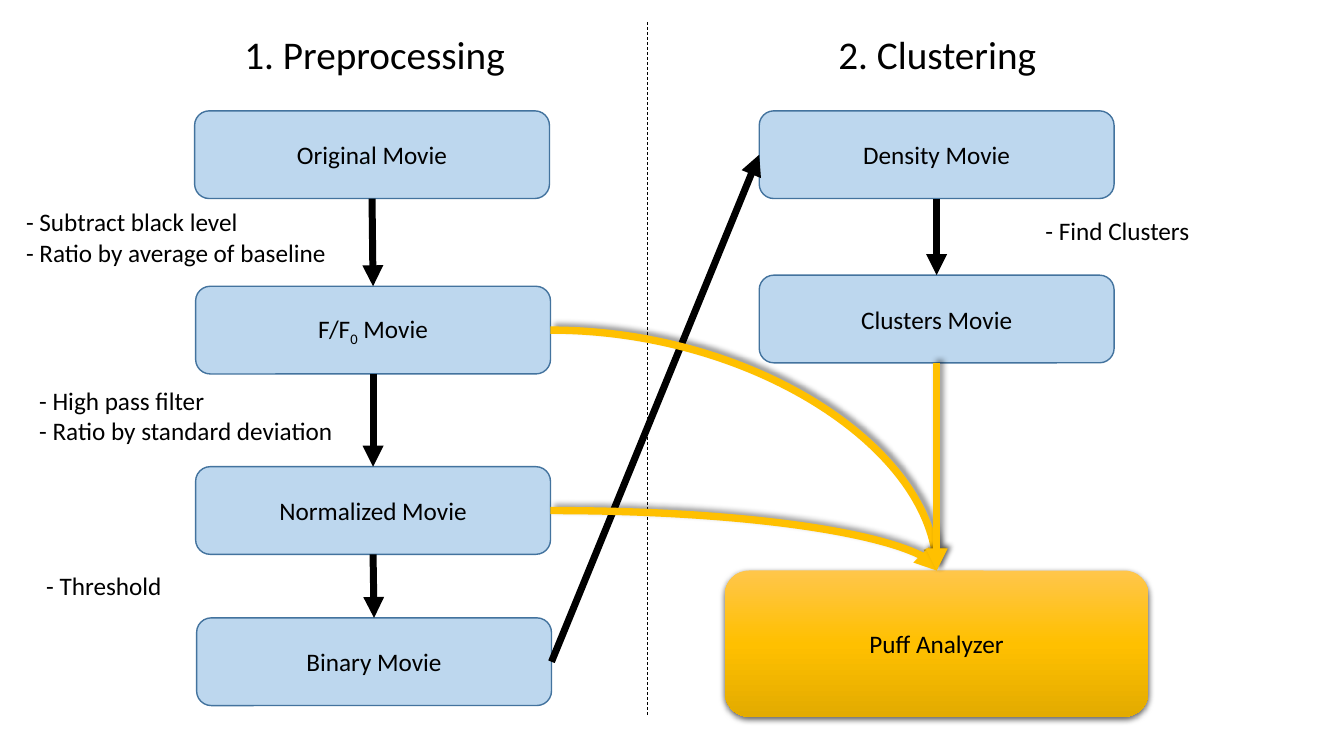
"""Build the movie processing flow slide: preprocessing, clustering and analysis."""
import copy
import dataclasses
import typing

import lxml.etree
import pptx
import pptx.dml.color
import pptx.enum.dml
import pptx.enum.shapes
import pptx.enum.text
import pptx.oxml.ns
import pptx.shapes.autoshape
import pptx.shapes.connector
import pptx.slide
import pptx.text.text
import pptx.util

Inches = pptx.util.Inches
Pt = pptx.util.Pt
qn = pptx.oxml.ns.qn
Align = pptx.enum.text.PP_ALIGN
Link = pptx.enum.shapes.MSO_CONNECTOR
Shape = pptx.shapes.autoshape.Shape
Line = pptx.shapes.connector.Connector


class Shade(typing.NamedTuple):
    alpha: int
    blur: float
    dist: float
    angle: int


@dataclasses.dataclass(frozen=True)
class Theme:
    font: str = "Calibri"
    ink: str = "000000"
    step: str = "BDD7EE"
    edge: str = "43739E"
    gold: str = "FFC000"
    blend: tuple[str, ...] = ("FFC64B", "FFC000", "E3AB00")
    head: float = 28
    body: float = 18
    thin: float = 0.5
    thick: float = 5
    wide: float = 5.25
    box_shade: Shade = Shade(63, 4.5, 1.5, 90)
    line_shade: Shade = Shade(40, 4, 3, 315)


class Step(typing.NamedTuple):
    name: str
    text: str
    left: float
    top: float


class Note(typing.NamedTuple):
    text: str
    left: float
    top: float
    width: float
    height: float


class Arrow(typing.NamedTuple):
    start: str
    start_side: int
    end: str
    end_side: int
    gold: bool = False
    curved: bool = False


THEME = Theme()
TOP, LEFT, BOTTOM, RIGHT = range(4)
STEP_SIZE = (3.52, 0.87)

HEADS = (
    Note("1. Preprocessing", 2.27, 0.25, 2.89, 0.57),
    Note("2. Clustering", 8, 0.25, 2.59, 0.57),
)
STEPS = (
    Step("original", "Original Movie", 1.93, 1.1),
    Step("ratio", "F/F_0_ Movie", 1.94, 2.84),
    Step("normal", "Normalized Movie", 1.94, 4.63),
    Step("binary", "Binary Movie", 1.95, 6.13),
    Step("density", "Density Movie", 7.53, 1.1),
    Step("clusters", "Clusters Movie", 7.53, 2.73),
)
PUFF = Note("Puff Analyzer", 7.19, 5.66, 4.2, 1.45)
ARROWS = (
    Arrow("original", BOTTOM, "ratio", TOP),
    Arrow("ratio", BOTTOM, "normal", TOP),
    Arrow("normal", BOTTOM, "binary", TOP),
    Arrow("binary", RIGHT, "density", LEFT),
    Arrow("density", BOTTOM, "clusters", TOP),
    Arrow("ratio", RIGHT, "puff", TOP, gold=True, curved=True),
    Arrow("normal", RIGHT, "puff", TOP, gold=True, curved=True),
    Arrow("clusters", BOTTOM, "puff", TOP, gold=True),
)
NOTES = (
    Note("- High pass filter\n- Ratio by standard deviation", 0.29, 3.77, 3.5, 0.71),
    Note("- Subtract black level\n- Ratio by average of baseline", 0.16, 2, 3.41, 1.01),
    Note("- Threshold", 0.36, 5.61, 1.57, 0.4),
    Note("- Find Clusters", 10.27, 2.09, 1.89, 0.4),
)


def color(code: str) -> pptx.dml.color.RGBColor:
    """Turn a hex code into a colour."""
    return pptx.dml.color.RGBColor.from_string(code)


def set_shade(item: Shape | Line, shade: Shade | None = None) -> None:
    """Replace the theme's shadow with the given one, or with none."""
    effects = lxml.etree.SubElement(item._element.spPr, qn("a:effectLst"))
    if shade:
        outer = lxml.etree.SubElement(
            effects, qn("a:outerShdw"), blurRad=str(Pt(shade.blur)),
            dist=str(Pt(shade.dist)), dir=str(shade.angle * 60000), rotWithShape="0")
        tone = lxml.etree.SubElement(outer, qn("a:srgbClr"), val=THEME.ink)
        lxml.etree.SubElement(tone, qn("a:alpha"), val=str(shade.alpha * 1000))


def style_text(frame: pptx.text.text.TextFrame, size: float, align: Align) -> None:
    """Format every run of a text frame."""
    frame.word_wrap = True
    for para in frame.paragraphs:
        para.alignment = align
        for run in para.runs:
            run.font.name = THEME.font
            run.font.size = Pt(size)
            run.font.color.rgb = color(THEME.ink)


def add_note(slide: pptx.slide.Slide, note: Note, size: float, align: Align) -> None:
    """Add a text box."""
    place = map(Inches, note[1:])
    frame = slide.shapes.add_textbox(*place).text_frame
    frame.text = note.text
    frame.auto_size = pptx.enum.text.MSO_AUTO_SIZE.SHAPE_TO_FIT_TEXT
    style_text(frame, size, align)


def add_box(slide: pptx.slide.Slide, note: Note) -> Shape:
    """Add a rounded box; text between underscores is set as a subscript."""
    kind = pptx.enum.shapes.MSO_SHAPE.ROUNDED_RECTANGLE
    box = slide.shapes.add_shape(kind, *map(Inches, note[1:]))
    frame = box.text_frame
    frame.vertical_anchor = pptx.enum.text.MSO_ANCHOR.MIDDLE
    for order, part in enumerate(note.text.split("_")):
        run = frame.paragraphs[0].add_run()
        run.text = part
        if order % 2:
            run.font._element.set("baseline", "-25000")
    style_text(frame, THEME.body, Align.CENTER)
    return box


def add_step(slide: pptx.slide.Slide, step: Step) -> Shape:
    """Add a blue processing step."""
    box = add_box(slide, Note(step.text, step.left, step.top, *STEP_SIZE))
    box.fill.solid()
    box.fill.fore_color.rgb = color(THEME.step)
    box.line.color.rgb = color(THEME.edge)
    box.line.width = Pt(1)
    box.shadow.inherit = False
    return box


def add_puff(slide: pptx.slide.Slide) -> Shape:
    """Add the golden analyzer box."""
    box = add_box(slide, PUFF)
    box.fill.gradient()
    box.fill.gradient_angle = 270
    stops = box._element.spPr.find(".//" + qn("a:gsLst"))
    stops.append(copy.deepcopy(stops[0]))
    for order, (stop, code) in enumerate(zip(box.fill.gradient_stops, THEME.blend)):
        stop.position = order / 2
        stop.color.rgb = color(code)
    box.line.fill.background()
    set_shade(box, THEME.box_shade)
    return box


def add_arrow(slide: pptx.slide.Slide, arrow: Arrow, boxes: dict[str, Shape]) -> None:
    """Join two boxes with an arrow."""
    kind = Link.CURVE if arrow.curved else Link.STRAIGHT
    line = slide.shapes.add_connector(kind, 0, 0, 0, 0)
    line.begin_connect(boxes[arrow.start], arrow.start_side)
    line.end_connect(boxes[arrow.end], arrow.end_side)
    if arrow.curved:
        line._element.spPr.find(qn("a:prstGeom")).set("prst", "curvedConnector2")
    line.line.color.rgb = color(THEME.gold if arrow.gold else THEME.ink)
    line.line.width = Pt(THEME.wide if arrow.gold else THEME.thick)
    lxml.etree.SubElement(line.line._get_or_add_ln(), qn("a:tailEnd"), type="triangle")
    set_shade(line, THEME.line_shade if arrow.gold else None)


def add_split(slide: pptx.slide.Slide) -> None:
    """Add the dashed line between the two stages."""
    ends = map(Inches, (6.42, 0.22, 6.42, 7.11))
    split = slide.shapes.add_connector(Link.STRAIGHT, *ends)
    split.line.color.rgb = color(THEME.ink)
    split.line.width = Pt(THEME.thin)
    split.line.dash_style = pptx.enum.dml.MSO_LINE.DASH
    set_shade(split)


def main() -> None:
    """Build and save the slide."""
    deck = pptx.Presentation()
    deck.slide_width, deck.slide_height = Inches(13.33), Inches(7.5)
    slide = deck.slides.add_slide(deck.slide_layouts.get_by_name("Blank"))
    for head in HEADS:
        add_note(slide, head, THEME.head, Align.CENTER)
    add_split(slide)
    boxes = {step.name: add_step(slide, step) for step in STEPS}
    boxes["puff"] = add_puff(slide)
    for arrow in ARROWS:
        add_arrow(slide, arrow, boxes)
    for note in NOTES:
        add_note(slide, note, THEME.body, Align.LEFT)
    deck.save("out.pptx")


if __name__ == "__main__":
    main()
